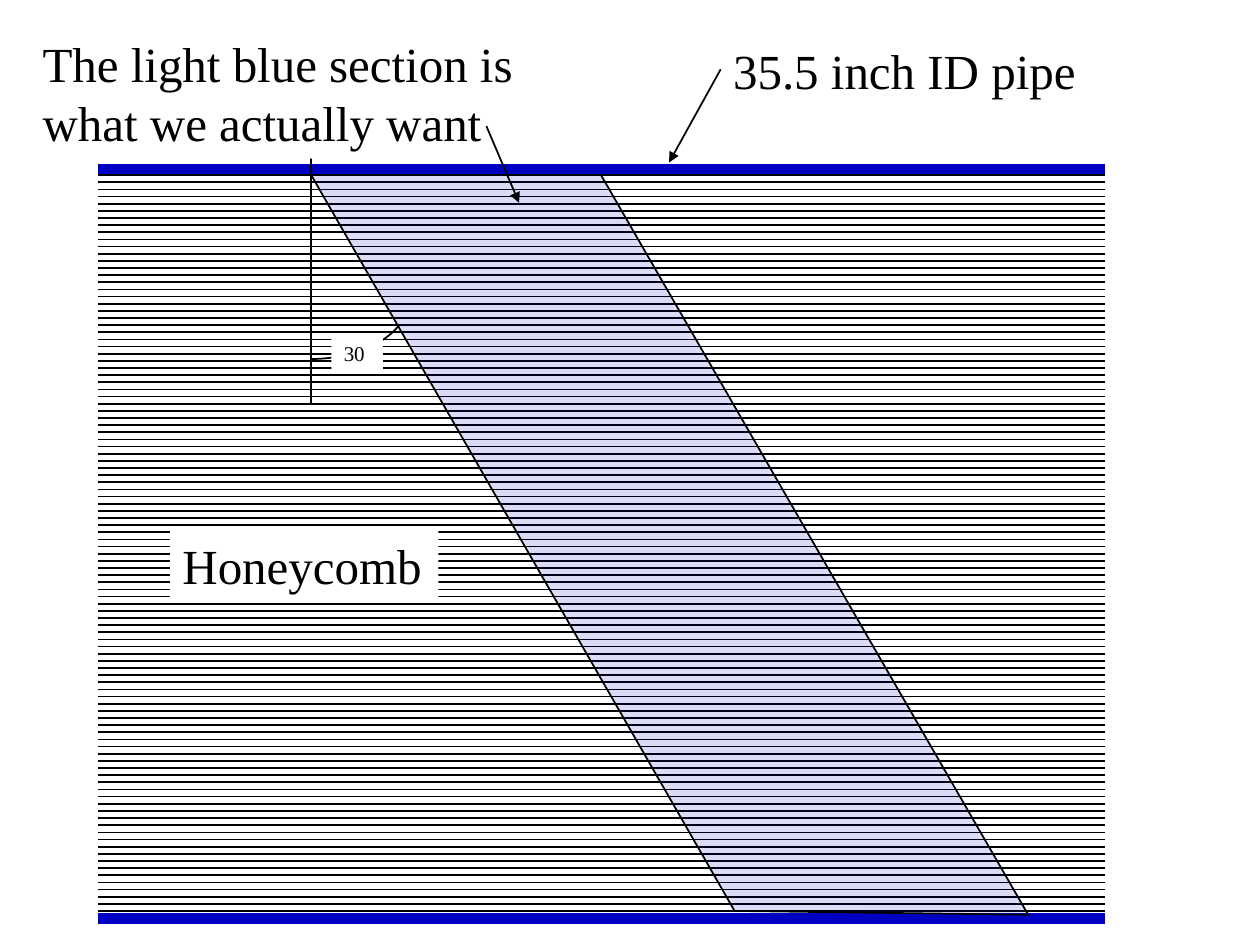
from dataclasses import dataclass

import pptx
import pptx.dml.color
import pptx.enum.shapes
import pptx.enum.text
import pptx.oxml
import pptx.oxml.ns
import pptx.util

EMU_PER_PX = 9144  # 100 px to the inch
LEFT, RIGHT = 78, 877
WALL_TOP, WALL_BOTTOM = 134, 729
CELL_TOP, CELL_BOTTOM, CELL_COUNT = 139, 723, 104
SECTION = [(583, 723), (247, 139), (477, 139), (816, 726)]


@dataclass(frozen=True)
class Theme:
    font: str = "Times New Roman"
    ink: str = "000000"
    paper: str = "FFFFFF"
    wall: str = "0000C3"
    section: str = "0300BE"
    section_alpha: int = 14
    label_size: int = 28
    angle_size: int = 12
    thin: int = 1
    wall_width: int = 6


THEME = Theme()


def px(length):
    return pptx.util.Emu(round(length * EMU_PER_PX))


def rgb(code):
    return pptx.dml.color.RGBColor.from_string(code)


def append_element(parent, tag, **attributes):
    child = pptx.oxml.parse_xml(f"<a:{tag} {pptx.oxml.ns.nsdecls('a')}/>")
    for name, value in attributes.items():
        child.set(name, str(value))
    parent.append(child)


def style_line(line, color=THEME.ink, width=THEME.thin):
    line.color.rgb = rgb(color)
    line.width = pptx.util.Pt(width)


def add_line(page, start, end, color=THEME.ink, width=THEME.thin, arrow=False):
    straight = pptx.enum.shapes.MSO_CONNECTOR.STRAIGHT
    connector = page.shapes.add_connector(straight, *map(px, start + end))
    style_line(connector.line, color, width)
    if arrow:
        append_element(connector.line._get_or_add_ln(), "tailEnd", type="triangle")
    append_element(connector._element.spPr, "effectLst")


def add_label(page, text, left, top, width, height,
              size=THEME.label_size, wrap=True, filled=True):
    box = page.shapes.add_textbox(px(left), px(top), px(width), px(height))
    if filled:
        box.fill.solid()
        box.fill.fore_color.rgb = rgb(THEME.paper)
    frame = box.text_frame
    frame.word_wrap = wrap
    frame.auto_size = pptx.enum.text.MSO_AUTO_SIZE.SHAPE_TO_FIT_TEXT
    span = frame.paragraphs[0].add_run()
    span.text = text
    span.font.name = THEME.font
    span.font.size = pptx.util.Pt(size)
    span.font.color.rgb = rgb(THEME.ink)


def add_pipe(page):
    """Draw the pipe walls with the honeycomb cells evenly spaced between them."""
    add_line(page, (LEFT, WALL_TOP), (RIGHT, WALL_TOP), THEME.wall, THEME.wall_width)
    gap = (CELL_BOTTOM - CELL_TOP) / (CELL_COUNT - 1)
    for index in range(CELL_COUNT):
        y = CELL_TOP + index * gap
        add_line(page, (LEFT, y), (RIGHT, y))
    add_line(page, (LEFT, WALL_BOTTOM), (RIGHT, WALL_BOTTOM), THEME.wall, THEME.wall_width)


def add_section(page):
    """Draw the slanted, see-through section."""
    builder = page.shapes.build_freeform(*SECTION[0], scale=EMU_PER_PX)
    builder.add_line_segments(SECTION[1:], close=True)
    section = builder.convert_to_shape()
    section.shadow.inherit = False
    section.fill.solid()
    section.fill.fore_color.rgb = rgb(THEME.section)
    color = section._element.spPr.find(".//" + pptx.oxml.ns.qn("a:srgbClr"))
    append_element(color, "alpha", val=THEME.section_alpha * 1000)
    style_line(section.line)


def add_angle_arc(page):
    arc = page.shapes.add_shape(
        pptx.enum.shapes.MSO_SHAPE.ARC, px(200), px(161), px(93), px(155))
    arc.rotation = 90
    arc.adjustments[0] = 171.59
    arc.adjustments[1] = 0
    arc.shadow.inherit = False
    arc.fill.background()
    style_line(arc.line)


def main():
    deck = pptx.Presentation()
    deck.slide_width, deck.slide_height = px(1000), px(750)
    page = deck.slides.add_slide(deck.slide_layouts.get_by_name("Blank"))

    add_pipe(page)
    add_section(page)
    add_label(page, "35.5 inch ID pipe", 572, 27, 295, 57, wrap=False, filled=False)
    add_line(page, (572, 55), (531, 129), arrow=True)
    add_label(page, "Honeycomb", 135, 420, 213, 57)
    add_line(page, (247, 27), (247, 321))
    add_angle_arc(page)
    add_label(page, "30", 263, 265, 41, 30, size=THEME.angle_size)
    add_label(page, "The light blue section is what we actually want", 24, 22, 424, 104)
    add_line(page, (386, 100), (412, 161), arrow=True)

    deck.save("out.pptx")


if __name__ == "__main__":
    main()
